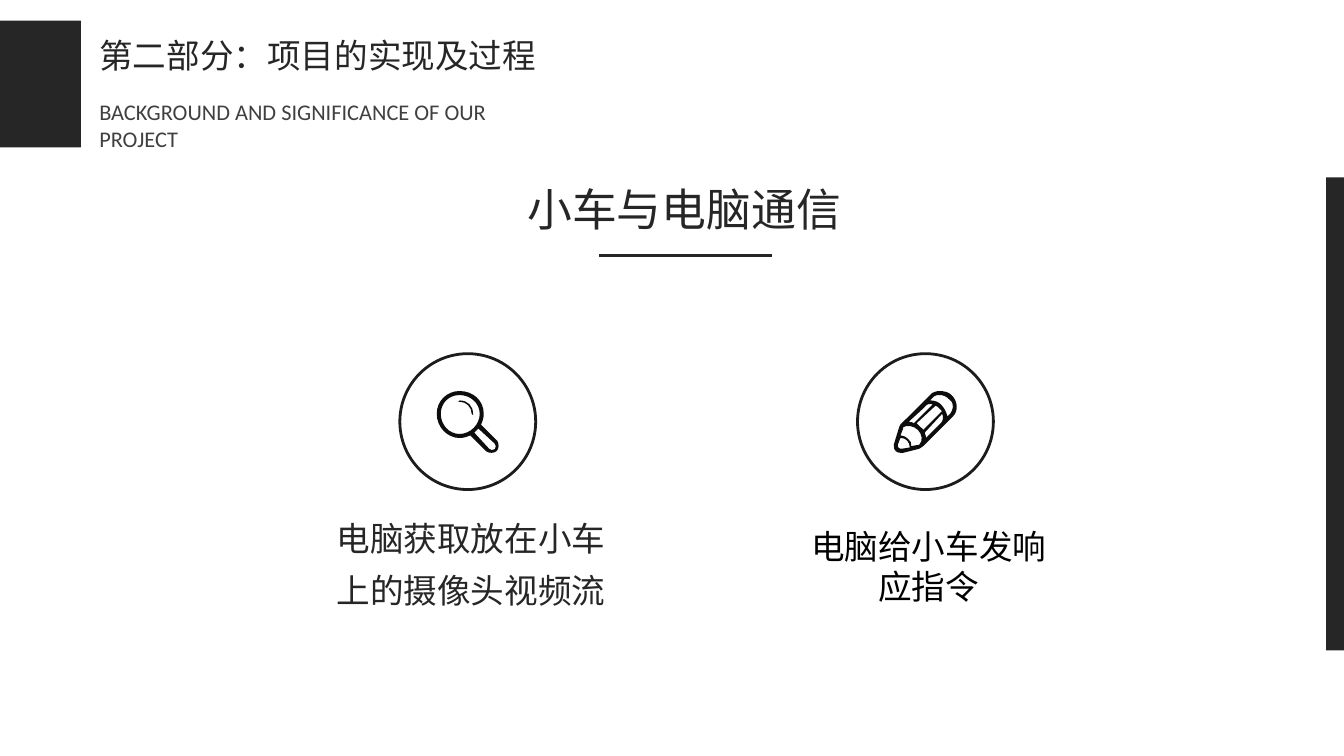
from lxml import etree
from pptx import Presentation
from pptx.dml.color import RGBColor
from pptx.enum.shapes import MSO_CONNECTOR, MSO_SHAPE
from pptx.enum.text import PP_ALIGN
from pptx.oxml.ns import qn
from pptx.util import Pt

RECTANGLE, OVAL = MSO_SHAPE.RECTANGLE, MSO_SHAPE.OVAL
STRAIGHT = MSO_CONNECTOR.STRAIGHT
LEFT, CENTER = PP_ALIGN.LEFT, PP_ALIGN.CENTER
COLORS = {"dark": "262626", "gray": "404040", "ring": "1C1C1C",
          "icon": "0D0D0D", "black": "000000"}
CJK, LATIN = "Noto Sans CJK SC", "Calibri"
UNIT = 0.72


def color(name):
    return RGBColor.from_string(COLORS[name])


def split_points(segment):
    return list(zip(segment[::2], segment[1::2]))


deck = Presentation()
deck.slide_width, deck.slide_height = Pt(720), Pt(405)
page = deck.slides.add_slide(deck.slide_layouts[6])

for left, top, width, height in [(0, 11, 43.4, 68), (710.4, 95, 9.6, 253.5)]:
    bar = page.shapes.add_shape(RECTANGLE, Pt(left), Pt(top), Pt(width), Pt(height))
    bar.shadow.inherit = False
    bar.fill.solid()
    bar.fill.fore_color.rgb = color("dark")
    bar.line.fill.background()

rule = page.shapes.add_connector(STRAIGHT, Pt(321), Pt(136.8), Pt(413.8), Pt(136.8))
rule.line.color.rgb = color("dark")
rule.line.width = Pt(1.5)
etree.SubElement(rule._element.spPr, qn("a:effectLst"))

for left in (214.2, 459.4):
    ring = page.shapes.add_shape(OVAL, Pt(left), Pt(189.5), Pt(72.8), Pt(72.8))
    ring.shadow.inherit = False
    ring.fill.background()
    ring.line.color.rgb = color("ring")
    ring.line.width = Pt(1.5)

texts = [
    ("BACKGROUND AND SIGNIFICANCE OF OUR PROJECT", (46.1, 49, 265, 21.6),
     LEFT, 1, "gray", {"size": Pt(12), "name": LATIN}),
    ("第二部分：项目的实现及过程", (46.1, 15.1, 252, 28.8),
     LEFT, 1, "dark", {"size": Pt(18), "name": CJK}),
    ("小车与电脑通信", (268.2, 93.6, 196.6, 36),
     CENTER, 1, "dark", {"size": Pt(24), "name": CJK}),
    ("电脑获取放在小车上的摄像头视频流", (165.9, 267.4, 172.8, 61.9),
     CENTER, 1.3, "dark", {"size": Pt(18), "name": LATIN}),
    ("电脑给小车发响应指令", (421.2, 278.2, 152.6, 51.1),
     CENTER, 1, "black", {"size": Pt(18), "name": LATIN}),
]
for text, place, alignment, spacing, tone, formats in texts:
    box = page.shapes.add_textbox(*[Pt(value) for value in place])
    box.text_frame.word_wrap = True
    para = box.text_frame.paragraphs[0]
    para.alignment = alignment
    para.line_spacing = spacing
    span = para.add_run()
    span.text = text
    span.font.color.rgb = color(tone)
    for key, value in formats.items():
        setattr(span.font, key, value)

pencil = [
    ((42, 17), [(40, 19), (40, 18, 38, 13, 36, 11), (34, 8, 30, 7, 27, 7), (30, 4),
                (31, 3, 33, 3, 34, 3), (37, 3, 39, 4, 41, 6),
                (43, 7, 44, 9, 44, 12), (44, 14, 43, 15, 42, 17)]),
    ((13, 41), [(13, 39, 13, 37, 11, 36), (9, 34, 7, 33, 5, 33), (7, 28), (7, 27),
                (10, 25, 15, 26, 18, 29), (21, 32, 22, 37, 19, 40), (13, 41)]),
    ((6, 43), [(5, 43), (4, 43, 3, 42, 3, 41), (3, 40), (5, 35),
               (6, 35, 8, 35, 10, 37), (11, 38, 12, 40, 12, 42), (6, 43)]),
    ((15, 24), [(14, 23, 13, 23, 11, 23), (23, 12), (24, 10, 27, 9, 29, 10), (15, 24)]),
    ((22, 29), [(21, 28, 21, 27, 20, 27), (17, 24), (31, 11),
                (32, 11, 33, 12, 34, 13), (36, 15), (22, 29)]),
    ((24, 34), [(23, 33, 23, 32, 23, 31), (36, 17), (37, 19, 37, 22, 35, 24),
                (24, 35), (24, 34)]),
    ((43, 3), [(41, 1, 38, 0, 34, 0), (32, 0, 29, 1, 28, 2), (5, 25),
               (5, 26, 4, 26, 4, 27), (0, 40), (0, 41), (0, 44, 2, 46, 5, 46),
               (7, 46), (19, 43), (20, 42, 21, 42, 22, 41), (44, 19),
               (48, 15, 48, 8, 43, 3)]),
]
magnifier = [
    ((17, 32), [(25, 32, 32, 25, 32, 17), (32, 9, 25, 3, 17, 3),
                (9, 3, 3, 9, 3, 17), (3, 25, 9, 32, 17, 32)]),
    ((39, 43), [(40, 43, 40, 44, 41, 44), (43, 44, 44, 43, 44, 41),
                (44, 40, 43, 40, 43, 39), (31, 28), (30, 29, 29, 30, 28, 31), (39, 43)]),
    ((17, 0), [(27, 0, 35, 7, 35, 17), (35, 20, 34, 23, 33, 25), (45, 37),
               (46, 38, 46, 40, 46, 41), (46, 44, 44, 46, 41, 46),
               (40, 46, 38, 46, 37, 45), (25, 33), (23, 34, 20, 35, 17, 35),
               (8, 35, 0, 27, 0, 17), (0, 7, 8, 0, 17, 0)]),
]
glint = [
    ((17, 7), [(23, 7, 27, 11, 27, 17), (27, 18), (26, 18, 26, 18, 26, 17),
               (26, 12, 22, 8, 17, 8), (16, 8), (16, 7, 17, 7, 17, 7)]),
]
for left, contours in [(478.8, pencil), (234, magnifier), (234, glint)]:
    groups = []
    builder = page.shapes.build_freeform(*contours[0][0], scale=Pt(UNIT))
    for index, (start, segments) in enumerate(contours):
        if index:
            builder.move_to(*start)
        pieces = [split_points(segment) for segment in segments]
        builder.add_line_segments([point for piece in pieces for point in piece], close=True)
        groups += pieces
    icon = builder.convert_to_shape(Pt(left), Pt(209.5))
    icon.shadow.inherit = False
    icon.fill.solid()
    icon.fill.fore_color.rgb = color("icon")
    icon.line.fill.background()

    outline = icon._element.find(".//" + qn("a:path"))
    lines = iter(outline.findall(qn("a:lnTo")))
    for group in groups:
        members = [next(lines) for _ in group]
        if len(members) == 3:
            curve = etree.Element(qn("a:cubicBezTo"))
            members[0].addprevious(curve)
            for member in members:
                curve.append(member[0])
                outline.remove(member)

deck.save("out.pptx")
